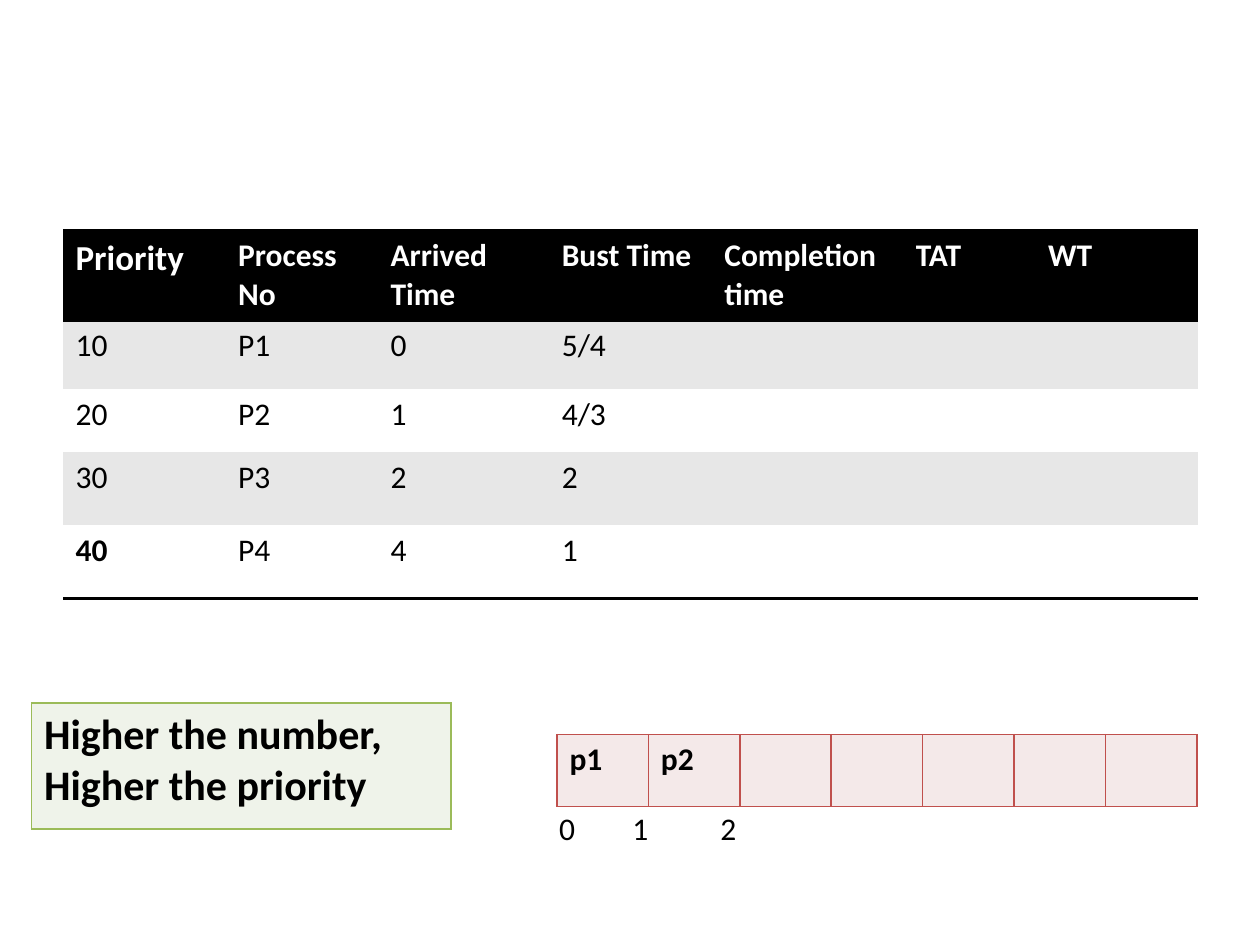
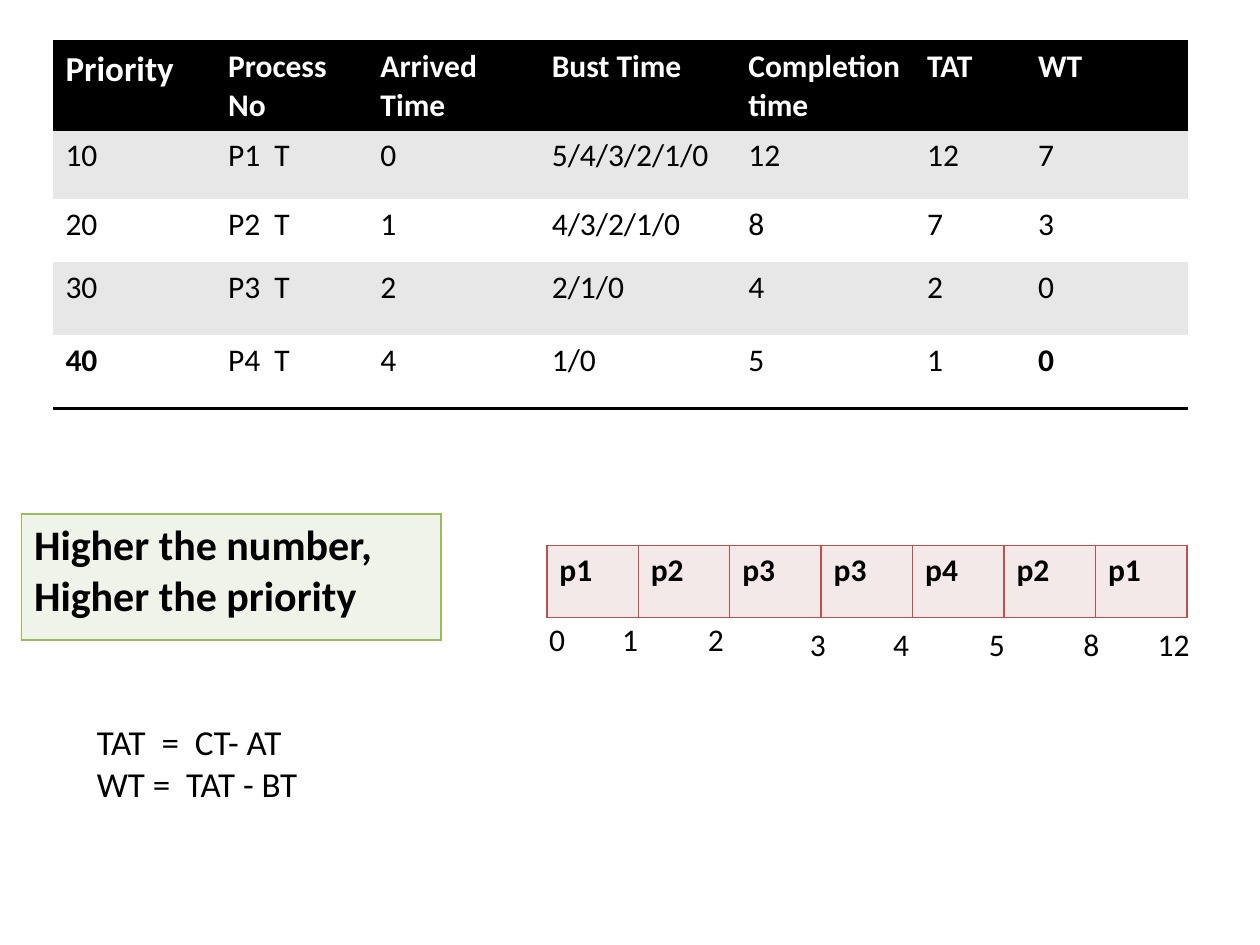
from dataclasses import dataclass

from lxml import etree
from pptx import Presentation, util as u
from pptx.dml import color
from pptx.enum import text
from pptx.oxml import ns

COLORS = {
    "black": "000000",
    "white": "FFFFFF",
    "band": "E7E7E7",
    "note": "EFF3EA",
    "note_line": "9BBB59",
    "gantt": "F4E9E9",
    "gantt_line": "C0504D",
}
FONT = "Calibri"
NO_STYLE = "{2D5ABB26-0587-4C30-8999-92F81FD0307C}"
HEADER = ["Priority", "Process No", "Arrived Time", "Bust Time", "Completion time", "TAT", "WT"]
ROW_HEIGHTS = [0.41, 0.55, 0.5, 0.58, 0.58]
NOTE = "Higher the number,\nHigher the priority"
GANTT_WIDTH, GANTT_SLOTS = 5.08, 7


@dataclass
class Tick:
    label: str
    x: float
    dy: float = 0
    width: float = 0.33


@dataclass
class Schedule:
    left: float
    top: float
    col_widths: list[float]
    rows: list[list[str]]
    bold: set[tuple[int, int]]
    gantt: list[str]
    ticks: list[Tick]


SCHEDULES = [
    Schedule(
        0.5, 1.83, [1.29, 1.21, 1.36, 1.29, 1.52, 1.05, 1.29],
        [["10", "P1", "0", "5/4"],
         ["20", "P2", "1", "4/3"],
         ["30", "P3", "2", "2"],
         ["40", "P4", "4", "1"]],
        {(4, 0)},
        ["p1", "p2"],
        [Tick("0", 3.84), Tick("1", 4.42), Tick("2", 5.12)],
    ),
    Schedule(
        0.42, 0.33, [1.29, 1.21, 1.36, 1.56, 1.42, 0.88, 1.29],
        [["10", "P1  T", "0", "5/4/3/2/1/0", "12", "12", "7"],
         ["20", "P2  T", "1", "4/3/2/1/0", "8", "7", "3"],
         ["30", "P3  T", "2", "2/1/0", "4", "2", "0"],
         ["40", "P4  T", "4", "1/0", "5", "1", "0"]],
        {(4, 0), (4, 6)},
        ["p1", "p2", "p3", "p3", "p4", "p2", "p1"],
        [Tick("0", 3.84), Tick("1", 4.42), Tick("2", 5.1),
         Tick("3", 5.91, 0.04), Tick("4", 6.57, 0.04), Tick("5", 7.33, 0.04),
         Tick("8", 8.08, 0.04), Tick("12", 8.67, 0.04, 0.46)],
    ),
]


def rgb(name: str) -> color.RGBColor:
    return color.RGBColor.from_string(COLORS[name])


def write(tf, content: str, size: float, bold: bool = False, ink: str = "black") -> None:
    fmt = {"name": FONT, "size": u.Pt(size), "bold": bold}
    for i, line in enumerate(content.split("\n")):
        p = tf.paragraphs[0] if i == 0 else tf.add_paragraph()
        r = p.add_run()
        r.text = line
        for key, value in fmt.items():
            setattr(r.font, key, value)
        r.font.color.rgb = rgb(ink)


def add_border(cell, sides: str, line: str, width: float) -> None:
    tc_pr = cell._tc.get_or_add_tcPr()
    for side in sides:
        ln = etree.SubElement(tc_pr, ns.qn(f"a:ln{side}"), w=str(u.Pt(width)))
        fill = etree.SubElement(ln, ns.qn("a:solidFill"))
        etree.SubElement(fill, ns.qn("a:srgbClr"), val=COLORS[line])


def fill_cell(cell, name: str) -> None:
    cell.fill.solid()
    cell.fill.fore_color.rgb = rgb(name)


def add_grid(s, left: float, top: float, widths: list[float], heights: list[float]):
    gf = s.shapes.add_table(len(heights), len(widths), u.Inches(left), u.Inches(top),
                            u.Inches(sum(widths)), u.Inches(sum(heights)))
    tbl = gf.table
    tbl._tbl.tblPr.find(ns.qn("a:tableStyleId")).text = NO_STYLE
    for col, width in zip(tbl.columns, widths):
        col.width = u.Inches(width)
    for row, height in zip(tbl.rows, heights):
        row.height = u.Inches(height)
    return tbl


def add_process_table(s, sch: Schedule) -> None:
    tbl = add_grid(s, sch.left, sch.top, sch.col_widths, ROW_HEIGHTS)
    last = len(ROW_HEIGHTS) - 1
    for i, values in enumerate([HEADER] + sch.rows):
        for j in range(len(HEADER)):
            cell = tbl.cell(i, j)
            if i in (0, last):
                add_border(cell, "TB" if i == 0 else "B", "black", 2)
            fill_cell(cell, "black" if i == 0 else "band" if i % 2 else "white")
            if j < len(values):
                write(cell.text_frame, values[j], 20 if i == j == 0 else 18,
                      i == 0 or (i, j) in sch.bold, "white" if i == 0 else "black")


def add_boxes(s, left: float, top: float, width: float, height: float,
              labels: list[str], count: int, size: float, style: str) -> None:
    tbl = add_grid(s, left, top, [width / count] * count, [height])
    for j in range(count):
        cell = tbl.cell(0, j)
        add_border(cell, "LRTB", f"{style}_line", 1)
        fill_cell(cell, style)
        if j < len(labels):
            write(cell.text_frame, labels[j], size, True)


def add_label(s, content: str, left: float, top: float, width: float, height: float,
              size: float) -> None:
    sp = s.shapes.add_textbox(*map(u.Inches, (left, top, width, height)))
    tf = sp.text_frame
    for key, value in {"word_wrap": False,
                       "auto_size": text.MSO_AUTO_SIZE.SHAPE_TO_FIT_TEXT}.items():
        setattr(tf, key, value)
    write(tf, content, size)


def add_schedule(prs, sch: Schedule):
    s = prs.slides.add_slide(prs.slide_layouts[6])
    add_process_table(s, sch)
    add_boxes(s, sch.left - 0.25, sch.top + 3.75, 3.33, 1, [NOTE], 1, 24, "note")
    add_boxes(s, sch.left + 3.92, sch.top + 4, GANTT_WIDTH, 0.57,
              sch.gantt, GANTT_SLOTS, 18, "gantt")
    for tick in sch.ticks:
        add_label(s, tick.label, sch.left + tick.x, sch.top + 4.54 + tick.dy,
                  tick.width, 0.4, 18)
    return s


def main() -> None:
    prs = Presentation()
    prs.slide_width, prs.slide_height = u.Inches(10), u.Inches(7.5)
    slides = [add_schedule(prs, sch) for sch in SCHEDULES]
    add_label(slides[-1], "TAT  =  CT- AT\nWT =  TAT - BT", 0.67, 5.67, 1.8, 0.77, 20)
    prs.save("out.pptx")


if __name__ == "__main__":
    main()
